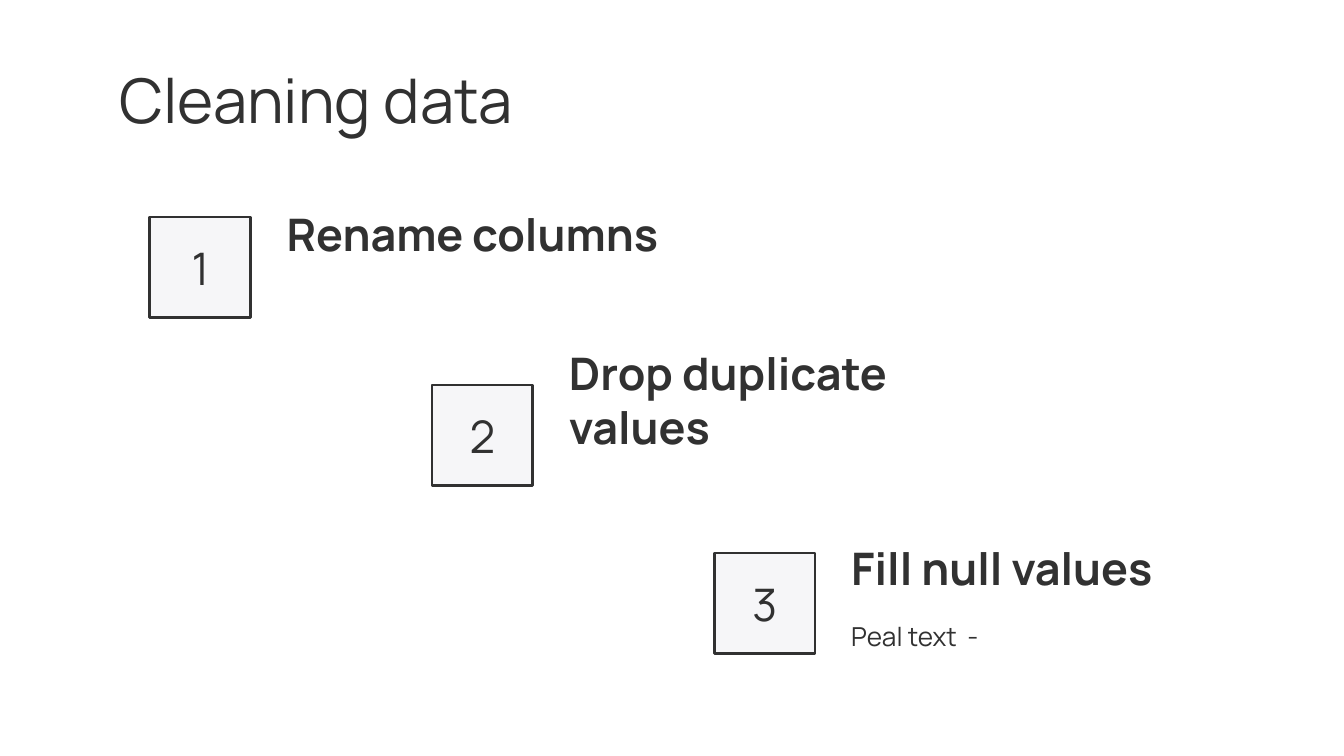
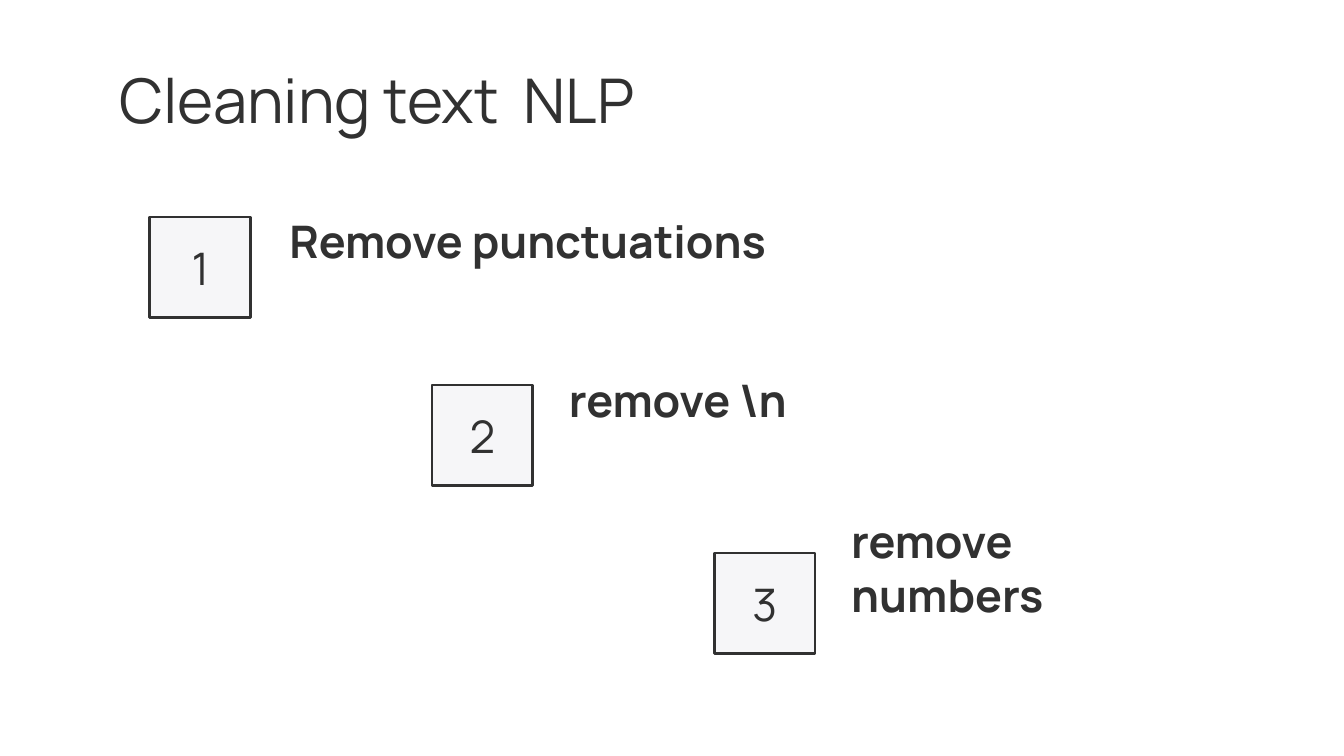
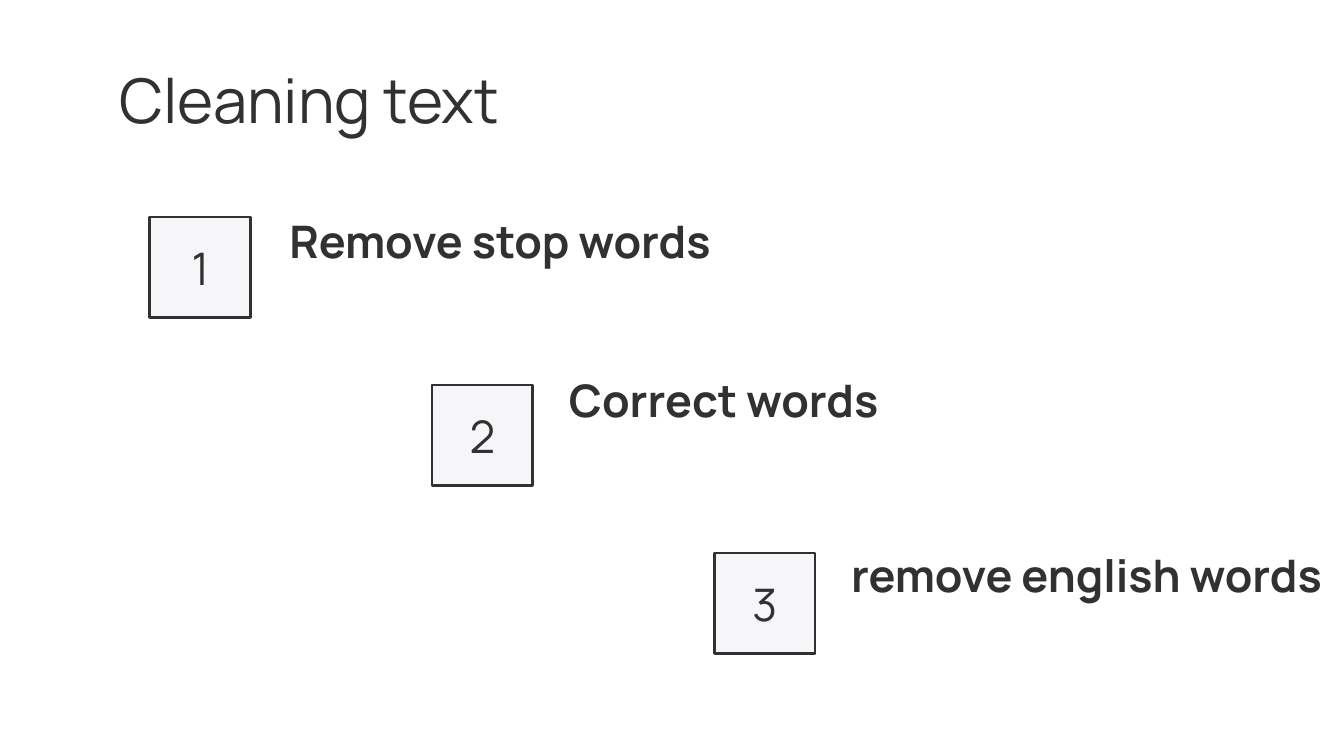
from pptx import Presentation
from pptx.dml.color import RGBColor
from pptx.enum.shapes import MSO_SHAPE
from pptx.enum.text import MSO_ANCHOR, PP_ALIGN
from pptx.util import Pt

PX = 4572
INK = RGBColor(0x31, 0x31, 0x31)
PALE = RGBColor(0xF6, 0xF6, 0xF8)
FONT = "Manrope"
RECTANGLE = MSO_SHAPE.RECTANGLE
MIDDLE = MSO_ANCHOR.MIDDLE
LEFT, CENTER = PP_ALIGN.LEFT, PP_ALIGN.CENTER

INSET = 20
BADGE = 150
BADGE_X, BADGE_Y = 223, 323
STEP_X, STEP_Y = 420, 250

REMOVE_HEADING = (411, 333, 766, 50)
SECOND_HEADING = (827, 553, 530, 84)
THIRD_HEADING = (1247, 803, 530, 84)

SLIDES = [
    ("Cleaning data", [
        ("Rename columns", (407, 323, 766, 50), 24, True),
        ("Drop duplicate values", SECOND_HEADING, 24, True),
        ("Fill null values", THIRD_HEADING, 24, True),
        ("Peal text  -", (1247, 904, 530, 84), 14, False),
    ]),
    ("Cleaning text  NLP", [
        ("Remove punctuations", REMOVE_HEADING, 24, True),
        (r"remove \n", SECOND_HEADING, 24, True),
        ("remove numbers", THIRD_HEADING, 24, True),
    ]),
    ("Cleaning text", [
        ("Remove stop words", REMOVE_HEADING, 24, True),
        ("Correct words", SECOND_HEADING, 24, True),
        ("remove english words", (1247, 823, 752, 64), 24, True),
    ]),
]


def write(shape, text, size, bold=False, align=LEFT):
    frame = shape.text_frame
    frame.word_wrap = True
    frame.vertical_anchor = MIDDLE
    frame.margin_left = frame.margin_right = INSET * PX
    frame.margin_top = frame.margin_bottom = INSET * PX
    paragraph = frame.paragraphs[0]
    paragraph.alignment = align
    run = paragraph.add_run()
    run.text = text
    run.font.name = FONT
    run.font.size = Pt(size)
    run.font.bold = bold
    run.font.color.rgb = INK


def add_text(slide, text, box, size, bold=False):
    write(slide.shapes.add_textbox(*(n * PX for n in box)), text, size, bold)


prs = Presentation()
prs.slide_width = 2000 * PX
prs.slide_height = 1125 * PX

for title, steps in SLIDES:
    slide = prs.slides.add_slide(prs.slide_layouts[6])

    for text, box, size, bold in steps:
        add_text(slide, text, box, size, bold)

    for i in range(3):
        badge = slide.shapes.add_shape(
            RECTANGLE,
            (BADGE_X + i * STEP_X) * PX, (BADGE_Y + i * STEP_Y) * PX,
            BADGE * PX, BADGE * PX)
        badge.shadow.inherit = False
        badge.fill.solid()
        badge.fill.fore_color.rgb = PALE
        badge.line.color.rgb = INK
        badge.line.width = Pt(1.5)
        write(badge, str(i + 1), 24, align=CENTER)

    add_text(slide, title, (158, 84, 1388, 126), 33)

prs.save("out.pptx")
